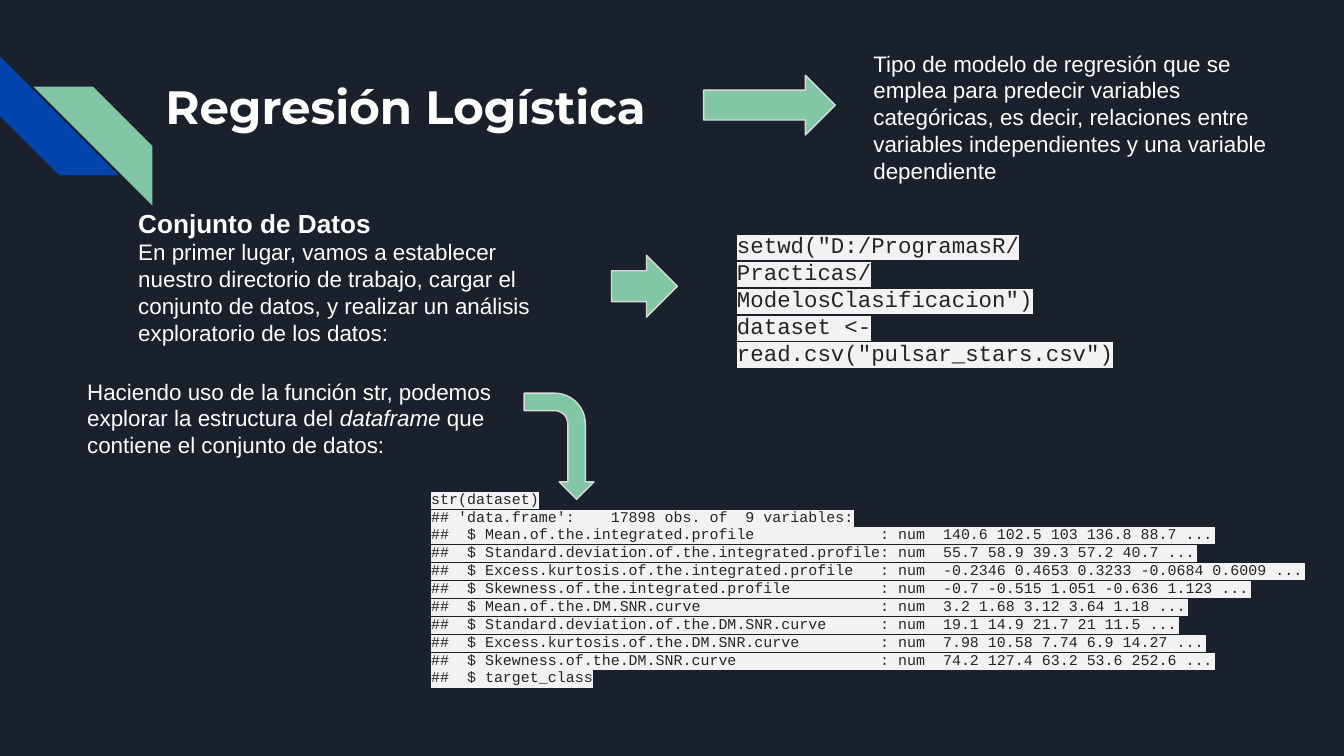
from pptx import Presentation
from pptx.dml.color import RGBColor
from pptx.enum.shapes import MSO_SHAPE as SHAPE
from pptx.enum.text import MSO_ANCHOR as ANCHOR, MSO_AUTO_SIZE as AUTO, PP_ALIGN as ALIGN
from pptx.oxml.ns import qn
from pptx.util import Pt

EMU_PER_PX = 4572  # 200 px to the inch
COLORS = {
    "background": "1B212C", "blue": "0145AC", "green": "82C7A5", "outline": "D9D9D9",
    "text": "FFFFFF", "code": "242424", "highlight": "F2F2F2",
}
VARIABLES = [
    ("Mean.of.the.integrated.profile", "140.6 102.5 103 136.8 88.7"),
    ("Standard.deviation.of.the.integrated.profile", "55.7 58.9 39.3 57.2 40.7"),
    ("Excess.kurtosis.of.the.integrated.profile", "-0.2346 0.4653 0.3233 -0.0684 0.6009"),
    ("Skewness.of.the.integrated.profile", "-0.7 -0.515 1.051 -0.636 1.123"),
    ("Mean.of.the.DM.SNR.curve", "3.2 1.68 3.12 3.64 1.18"),
    ("Standard.deviation.of.the.DM.SNR.curve", "19.1 14.9 21.7 21 11.5"),
    ("Excess.kurtosis.of.the.DM.SNR.curve", "7.98 10.58 7.74 6.9 14.27"),
    ("Skewness.of.the.DM.SNR.curve", "74.2 127.4 63.2 53.6 252.6"),
]


def px(n):
    return n * EMU_PER_PX


def rgb(name):
    return RGBColor.from_string(COLORS[name])


class SlideBuilder:
    def __init__(self, slide):
        self.slide = slide
        fill = slide.background.fill
        fill.solid()
        fill.fore_color.rgb = rgb("background")

    def format_run(self, r, size, font="Arial", color="text", bold=False, italic=False):
        f = r.font
        f.size, f.name, f.bold, f.italic = Pt(size), font, bold, italic
        f.color.rgb = rgb(color)

    def highlight(self, r):
        rPr = r.font._element
        mark = rPr.makeelement(qn("a:highlight"), {})
        mark.append(mark.makeelement(qn("a:srgbClr"), {"val": COLORS["highlight"]}))
        rPr.find(qn("a:solidFill")).addnext(mark)

    def frame(self, sp, anchor=ANCHOR.TOP):
        tf = sp.text_frame
        tf.word_wrap = True
        tf.vertical_anchor = anchor
        tf.margin_left = tf.margin_right = tf.margin_top = tf.margin_bottom = px(20)
        return tf

    def title(self, text, x, y, w, h):
        sp = self.slide.shapes.title
        sp.left, sp.top, sp.width, sp.height = map(px, (x, y, w, h))
        tf = self.frame(sp, ANCHOR.MIDDLE)
        tf.text = text
        tf.auto_size = AUTO.NONE
        p = tf.paragraphs[0]
        p.alignment = ALIGN.LEFT
        self.format_run(p.runs[0], 25, "Montserrat", bold=True)

    def text(self, paragraphs, x, y, w, h):
        """Each paragraph is a list of (text, format) runs."""
        sp = self.slide.shapes.add_textbox(*map(px, (x, y, w, h)))
        tf = self.frame(sp)
        tf.auto_size = AUTO.SHAPE_TO_FIT_TEXT
        for i, runs in enumerate(paragraphs):
            p = tf.add_paragraph() if i else tf.paragraphs[0]
            for text, style in runs:
                r = p.add_run()
                r.text = text
                self.format_run(r, **{"size": 12, **style})
        return tf

    def code(self, lines, x, y, w, h, size=12, indent=0):
        style = {"size": size, "font": "Courier New", "color": "code"}
        tf = self.text([[(line, style)] for line in lines], x, y, w, h)
        for p in tf.paragraphs:
            p._p.get_or_add_pPr().set("marL", str(px(indent)))
            self.highlight(p.runs[0])

    def shape(self, kind, x, y, w, h, color="green", rotation=0, adjustments=(), outlined=True):
        sp = self.slide.shapes.add_shape(kind, *map(px, (x, y, w, h)))
        sp.shadow.inherit = False
        sp.rotation = rotation
        for i, value in enumerate(adjustments):
            sp.adjustments[i] = value
        sp.fill.solid()
        sp.fill.fore_color.rgb = rgb(color)
        if outlined:
            sp.line.color.rgb = rgb("outline")
            sp.line.width = Pt(0.75)
        else:
            sp.line.fill.background()
        return sp


def main():
    prs = Presentation()
    prs.slide_width, prs.slide_height = px(2000), px(1125)
    b = SlideBuilder(prs.slides.add_slide(prs.slide_layouts[5]))

    b.shape(SHAPE.DIAGONAL_STRIPE, 0, 84, 177, 177, "blue", rotation=270, outlined=False)
    stripe = b.shape(SHAPE.DIAGONAL_STRIPE, 50, 129, 177, 177, outlined=False)
    stripe._element.spPr.xfrm.set("flipH", "1")

    b.title("Regresión Logística", 226, 99, 764, 118)
    b.text([[("Tipo de modelo de regresión que se emplea para predecir variables categóricas, "
              "es decir, relaciones entre variables independientes y una variable dependiente", {})]],
           1280, 54, 664, 242)
    b.shape(SHAPE.RIGHT_ARROW, 1047, 112, 196, 89)

    b.text([[("Conjunto de Datos", {"size": 14, "bold": True})],
            [("En primer lugar, vamos a establecer nuestro directorio de trabajo, cargar el "
              "conjunto de datos, y realizar un análisis exploratorio de los datos:", {})]],
           186, 288, 656, 250)
    b.shape(SHAPE.DOWN_ARROW, 913, 377, 92, 98, rotation=270)
    b.code(['setwd("D:/ProgramasR/Practicas/ModelosClasificacion")',
            'dataset <- read.csv("pulsar_stars.csv")'], 1077, 324, 656, 202)

    b.text([[("Haciendo uso de la función str, podemos explorar la estructura del ", {}),
             ("dataframe", {"italic": True}),
             (" que contiene el conjunto de datos:", {})]], 110, 542, 656, 162)
    listing = [f"##  $ {name:<44}: num  {values} ..." for name, values in VARIABLES]
    b.code(["str(dataset)", "## 'data.frame':    17898 obs. of  9 variables:",
            *listing, "##  $ target_class"], 580, 708, 1436, 336, size=8, indent=42)
    b.shape(SHAPE.BENT_ARROW, 753, 612, 158, 104, rotation=90,
            adjustments=(0.25, 0.25, 0.25, 0.44))

    prs.save("out.pptx")


if __name__ == "__main__":
    main()
